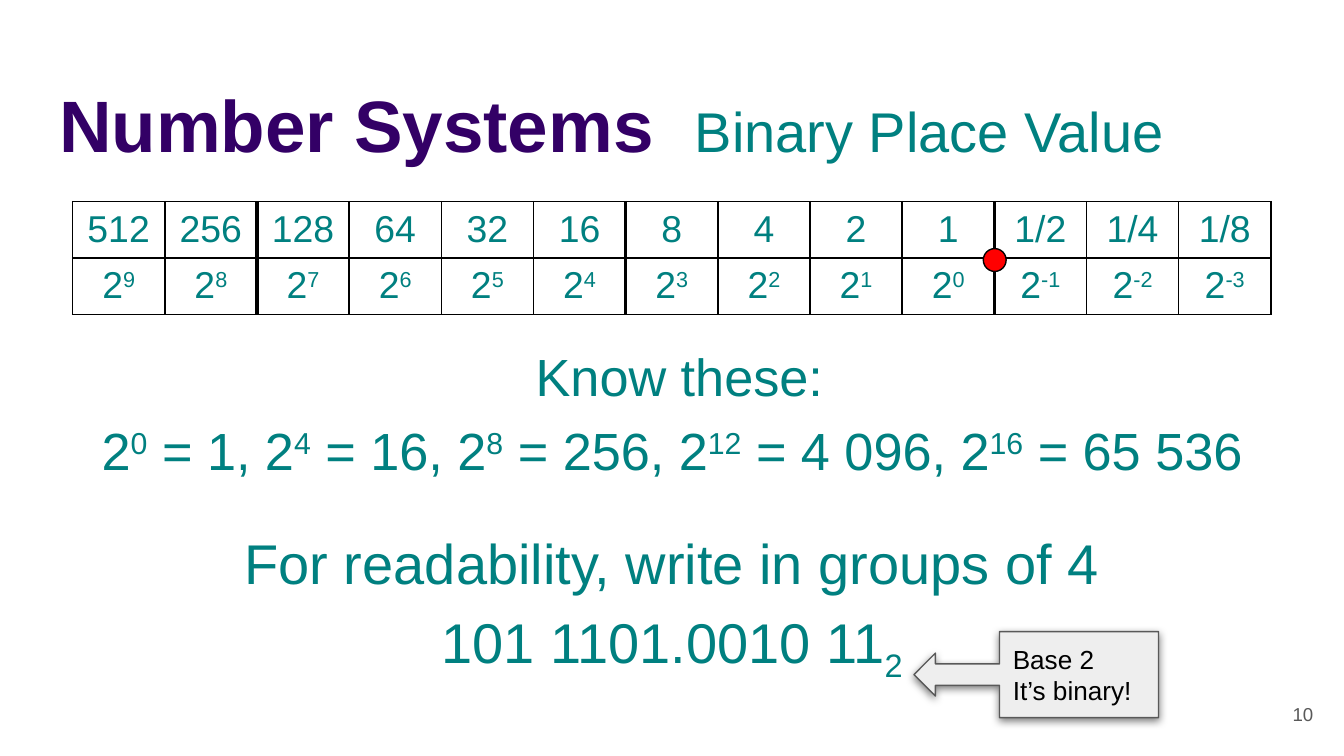
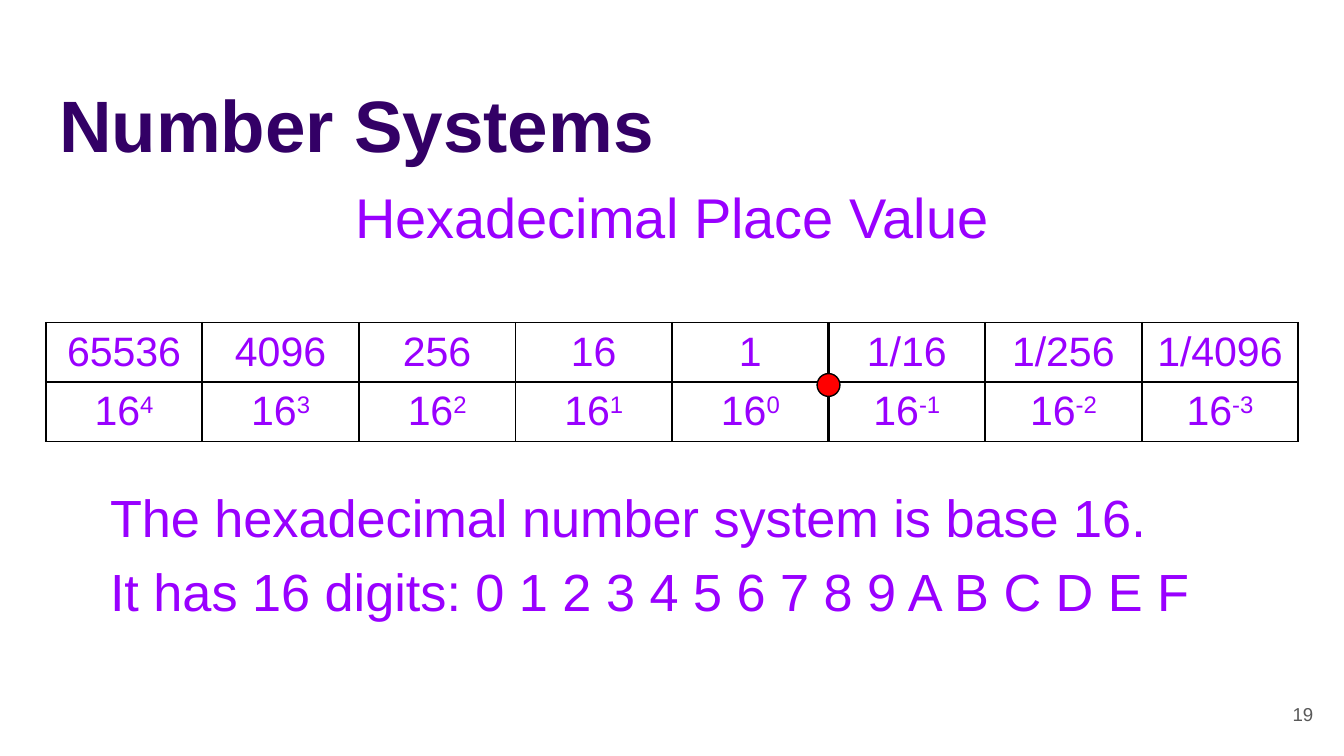
from pptx import Presentation
from pptx.dml.color import RGBColor
from pptx.enum.shapes import MSO_SHAPE
from pptx.enum.text import MSO_ANCHOR, MSO_AUTO_SIZE, PP_ALIGN
from pptx.oxml import parse_xml
from pptx.oxml.ns import nsdecls
from pptx.util import Inches, Pt

LEFT, CENTER, RIGHT = PP_ALIGN.LEFT, PP_ALIGN.CENTER, PP_ALIGN.RIGHT
TOP, MIDDLE = MSO_ANCHOR.TOP, MSO_ANCHOR.MIDDLE
NO_FIT = MSO_AUTO_SIZE.NONE
OVAL, CALLOUT = MSO_SHAPE.OVAL, MSO_SHAPE.LEFT_ARROW_CALLOUT

FONT = "Arial"
INDIGO, TEAL, VIOLET = "330066", "008080", "9900FF"
BLACK, GRAY, SILVER, RED = "000000", "595959", "EEEEEE", "FF0000"
TITLE = "Number Systems"
TITLE_AREA = (0.34, 0.49, 9.32, 0.63)
BODY_AREA = (0.34, 1.26, 9.32, 3.74)
NUMBER_AREA = (9.27, 5.1, 0.6, 0.43)
SUBTITLE_TAB = 4.73
ROW_HEIGHT = 0.42
DOT_SIZE = 0.17
THIN, THICK = 1, 2.25

SLIDES = [
    {
        "number": "10", "color": TEAL, "subtitle": "Binary Place Value",
        "body_inset": 1.3,
        "body": [
            {"text": " Know these:", "size": 28, "align": CENTER},
            {"text": "2^0^ = 1, 2^4^ = 16, 2^8^ = 256, 2^12^ = 4 096, 2^16^ = 65 536",
             "size": 28, "align": CENTER, "before": 6},
            {"text": "For readability, write in groups of 4",
             "size": 30, "align": CENTER, "before": 25.8},
            {"text": "101 1101.0010 11^2^", "size": 30, "align": CENTER,
             "before": 6, "shift": -25},
        ],
        "table": {
            "left": 0.54, "top": 1.5, "width": 8.92, "size": 20, "base": 2,
            "values": ["512", "256", "128", "64", "32", "16", "8", "4", "2", "1",
                       "1/2", "1/4", "1/8"],
            "highest": 9, "thick": (2, 6, 10), "point": 10, "dot_top": 1.85,
        },
        "callout": {"area": (6.8, 4.7, 1.82, 0.64),
                    "lines": ["Base 2", "It’s binary!"],
                    "adjust": (0.25, 0.25, 0.25, 0.65)},
    },
    {
        "number": "19", "color": VIOLET,
        "body_inset": 0.1,
        "body": [
            {"text": "Hexadecimal Place Value", "size": 30, "align": CENTER},
            {"text": "The hexadecimal number system is base 16.",
             "size": 28, "before": 126.3, "indent": 0.38},
            {"text": "It has 16 digits: 0 1 2 3 4 5 6 7 8 9 A B C D E F",
             "size": 28, "before": 6, "indent": 0.38},
        ],
        "table": {
            "left": 0.34, "top": 2.4, "width": 9.32, "size": 22, "base": 16,
            "values": ["65536", "4096", "256", "16", "1", "1/16", "1/256", "1/4096"],
            "highest": 4, "thick": (5,), "point": 5, "dot_top": 2.78,
        },
    },
]


def rgb(value):
    """Turn a hex string into a colour."""
    return RGBColor.from_string(value)


def inches(area):
    """Turn a tuple of numbers into lengths."""
    return [Inches(number) for number in area]


def set_frame(frame, anchor=TOP, inset=0.1):
    """Give a text frame its wrapping, anchor and insets."""
    formats = {"word_wrap": True, "auto_size": NO_FIT, "vertical_anchor": anchor,
               "margin_left": Inches(0.1), "margin_right": Inches(0.1),
               "margin_top": Inches(inset), "margin_bottom": Inches(0.1)}
    for name, value in formats.items():
        setattr(frame, name, value)


def add_span(para, text, size, color, bold=False, shift=0):
    """Append one run, raised or lowered by a percentage."""
    span = para.add_run()
    span.text = text
    for name, value in {"name": FONT, "size": Pt(size), "bold": bold}.items():
        setattr(span.font, name, value)
    span.font.color.rgb = rgb(color)
    if shift:
        span.font._element.set("baseline", str(shift * 1000))


def write(para, text, size, color, align=LEFT, before=0, indent=0, shift=30):
    """Fill a paragraph, shifting what stands between carets."""
    para.alignment = align
    para.space_before = Pt(before)
    if indent:
        para._p.get_or_add_pPr().set("marL", str(Inches(indent)))
    for index, piece in enumerate(text.split("^")):
        if piece:
            add_span(para, piece, size, color, shift=shift * (index % 2))


def write_all(frame, lines, color):
    """Write each line as a paragraph of the frame."""
    for index, line in enumerate(lines):
        para = frame.add_paragraph() if index else frame.paragraphs[0]
        write(para, color=color, **line)


def add_title(slide, subtitle, color):
    """Place the title and, after a tab, its subtitle."""
    box = slide.shapes.title
    box.left, box.top, box.width, box.height = inches(TITLE_AREA)
    set_frame(box.text_frame)
    para = box.text_frame.paragraphs[0]
    para.alignment = LEFT
    add_span(para, TITLE, 39, INDIGO, bold=True)
    if subtitle:
        para._p.get_or_add_pPr().append(parse_xml(
            f'<a:tabLst {nsdecls("a")}><a:tab pos="{Inches(SUBTITLE_TAB)}" algn="l"/></a:tabLst>'))
        add_span(para, "\t" + subtitle, 30, color)


def add_text(slide, area, lines, color, **layout):
    """Add a text box of formatted lines."""
    box = slide.shapes.add_textbox(*inches(area))
    set_frame(box.text_frame, **layout)
    write_all(box.text_frame, lines, color)


def add_shape(slide, kind, area, fill, line):
    """Add a preset shape with a fill and a thin outline."""
    shape = slide.shapes.add_shape(kind, *inches(area))
    shape.shadow.inherit = False
    shape.fill.solid()
    shape.fill.fore_color.rgb = rgb(fill)
    shape.line.color.rgb = rgb(line)
    shape.line.width = Pt(0.75)
    return shape


def set_borders(cell, left, right):
    """Draw the four borders of a cell."""
    properties = cell._tc.get_or_add_tcPr()
    widths = {"lnL": left, "lnR": right, "lnT": THIN, "lnB": THIN}
    for index, (tag, width) in enumerate(widths.items()):
        properties.insert(index, parse_xml(
            f'<a:{tag} {nsdecls("a")} w="{Pt(width)}"><a:solidFill>'
            f'<a:srgbClr val="{BLACK}"/></a:solidFill></a:{tag}>'))


def add_place_values(slide, data, color):
    """Add the place value table and the dot at its radix point."""
    values, thick = data["values"], data["thick"]
    powers = [f"{data['base']}^{data['highest'] - index}^" for index in range(len(values))]
    area = (data["left"], data["top"], data["width"], 2 * ROW_HEIGHT)
    table = slide.shapes.add_table(2, len(values), *inches(area)).table
    table.first_row = table.horz_banding = False
    column_width = data["width"] / len(values)
    for column in table.columns:
        column.width = Inches(column_width)
    for row, texts in enumerate((values, powers)):
        for index, text in enumerate(texts):
            cell = table.cell(row, index)
            cell.fill.background()
            write(cell.text_frame.paragraphs[0], text, data["size"], color, CENTER)
            set_borders(cell, *(THICK if edge in thick else THIN
                                for edge in (index, index + 1)))
    dot_left = data["left"] + data["point"] * column_width - DOT_SIZE / 2
    add_shape(slide, OVAL, (dot_left, data["dot_top"], DOT_SIZE, DOT_SIZE), RED, BLACK)


def add_callout(slide, data):
    """Add the arrow callout with its soft shadow."""
    shape = add_shape(slide, CALLOUT, data["area"], SILVER, GRAY)
    for index, value in enumerate(data["adjust"]):
        shape.adjustments[index] = value
    effects = shape._element.spPr.find("{*}effectLst")
    effects.append(parse_xml(
        f'<a:outerShdw {nsdecls("a")} blurRad="{Pt(4.5)}" dist="{Pt(1.5)}" dir="5400000" '
        f'algn="bl" rotWithShape="0"><a:srgbClr val="{BLACK}"><a:alpha val="50000"/>'
        '</a:srgbClr></a:outerShdw>'))
    set_frame(shape.text_frame, MIDDLE)
    write_all(shape.text_frame, [{"text": line, "size": 14} for line in data["lines"]], BLACK)


def build():
    """Build both slides and save the deck."""
    deck = Presentation()
    deck.slide_width = Inches(10)
    deck.slide_height = deck.slide_width * 9 // 16
    title_only = deck.slide_layouts[5]
    for data in SLIDES:
        slide = deck.slides.add_slide(title_only)
        color = data["color"]
        add_title(slide, data.get("subtitle"), color)
        add_text(slide, BODY_AREA, data["body"], color, inset=data["body_inset"])
        number = {"text": data["number"], "size": 10, "align": RIGHT}
        add_text(slide, NUMBER_AREA, [number], GRAY, anchor=MIDDLE)
        add_place_values(slide, data["table"], color)
        if "callout" in data:
            add_callout(slide, data["callout"])
    deck.save("out.pptx")


build()
